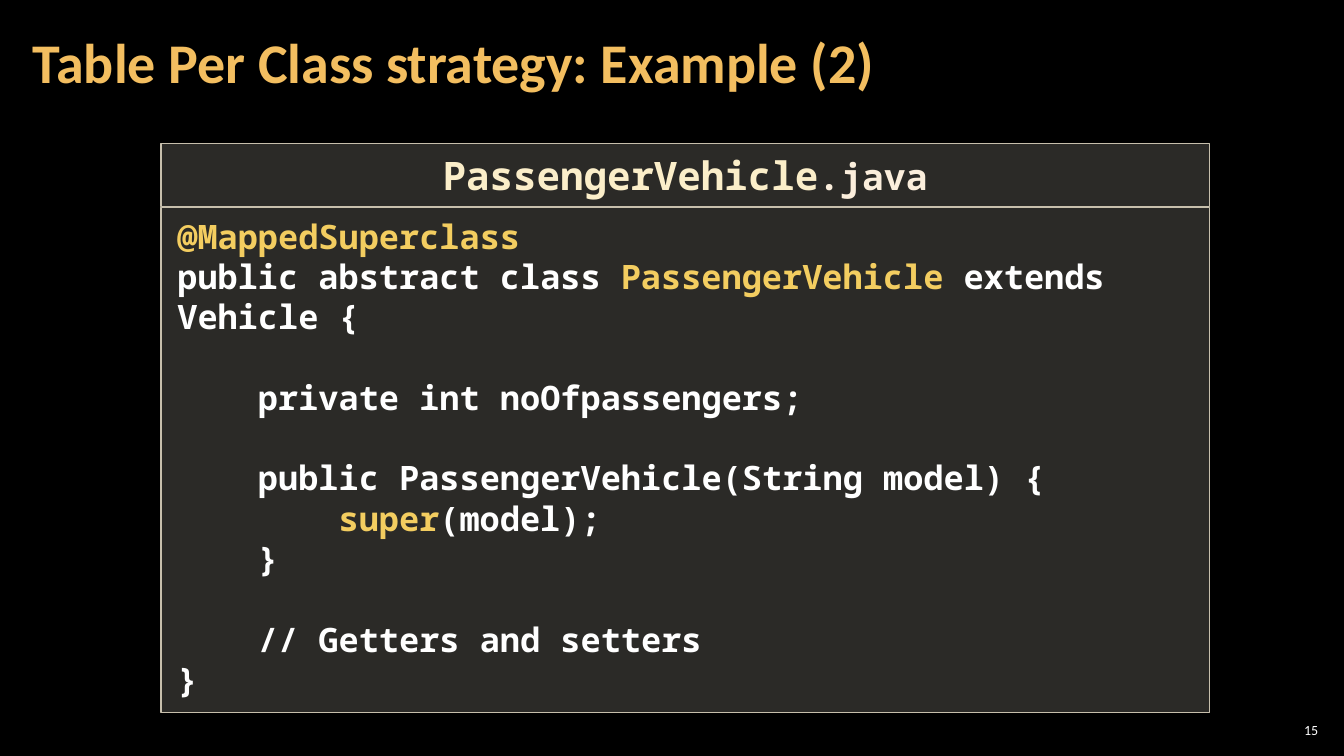
from dataclasses import dataclass

from lxml.etree import SubElement
from pptx import Presentation
from pptx.dml.color import RGBColor
from pptx.enum.shapes import MSO_SHAPE
from pptx.enum.text import MSO_ANCHOR, MSO_AUTO_SIZE, PP_ALIGN
from pptx.oxml.ns import qn
from pptx.util import Cm, Pt

BLACK = RGBColor(0x00, 0x00, 0x00)
WHITE = RGBColor(0xFF, 0xFF, 0xFF)
ORANGE = RGBColor(0xF3, 0xBE, 0x60)
YELLOW = RGBColor(0xF3, 0xCD, 0x60)
CREAM = RGBColor(0xFB, 0xEE, 0xC9)
PALE = RGBColor(0xFB, 0xEE, 0xDC)
SAND = RGBColor(0xD9, 0xD5, 0xC7)
BORDER = RGBColor(0xC7, 0xBF, 0xAC)

HEADING_FONT = "Calibri"
CODE_FONT = "Noto Sans Mono"
CODE_LINE = Pt(28.8)


@dataclass
class Run:
    text: str
    color: RGBColor = WHITE
    size: float = 24
    font: str = CODE_FONT
    bold: bool = True


@dataclass
class Line:
    runs: list[Run]
    blank_above: bool = False


@dataclass
class Panel:
    top: float
    height: float
    lines: list[Line]
    alignment: PP_ALIGN


CODE = [
    Line([Run("@MappedSuperclass", YELLOW)]),
    Line([Run("public abstract class "), Run("PassengerVehicle", YELLOW),
          Run(" extends Vehicle {")]),
    Line([Run("    private int noOfpassengers;")], True),
    Line([Run("    public PassengerVehicle(String model) {")], True),
    Line([Run("        "), Run("super", YELLOW), Run("(model);")]),
    Line([Run("    }")]),
    Line([Run("    // Getters and setters")], True),
    Line([Run("}")]),
]
FILE_NAME = [Line([Run("PassengerVehicle", CREAM, 28), Run(".java", PALE, 26)])]
PANELS = [
    Panel(5.23, 12.73, CODE, PP_ALIGN.LEFT),
    Panel(3.61, 1.6, FILE_NAME, PP_ALIGN.CENTER),
]


def apply_format(target, values: dict) -> None:
    for name, value in values.items():
        setattr(target, name, value)


def place(shape, left: float, top: float, width: float, height: float) -> None:
    apply_format(shape, {"left": Cm(left), "top": Cm(top),
                         "width": Cm(width), "height": Cm(height)})


def write_text(shape, lines: list[Line], alignment: PP_ALIGN, anchor: MSO_ANCHOR,
               side: float, edge: float, spacing: float = 1.0) -> None:
    frame = shape.text_frame
    apply_format(frame, {
        "word_wrap": True, "auto_size": MSO_AUTO_SIZE.NONE, "vertical_anchor": anchor,
        "margin_left": Cm(side), "margin_right": Cm(side),
        "margin_top": Cm(edge), "margin_bottom": Cm(edge),
    })
    for index, line in enumerate(lines):
        paragraph = frame.add_paragraph() if index else frame.paragraphs[0]
        apply_format(paragraph, {
            "alignment": alignment, "line_spacing": spacing,
            "space_before": CODE_LINE if line.blank_above else Pt(0),
        })
        for item in line.runs:
            run = paragraph.add_run()
            run.text = item.text
            apply_format(run.font, {"name": item.font, "size": Pt(item.size),
                                    "bold": item.bold})
            run.font.color.rgb = item.color


def add_panel(slide, panel: Panel) -> None:
    shape = slide.shapes.add_shape(MSO_SHAPE.RECTANGLE, Cm(4.06), Cm(panel.top),
                                   Cm(26.42), Cm(panel.height))
    shape.shadow.inherit = False
    shape.fill.solid()
    shape.fill.fore_color.rgb = SAND
    color = shape._element.spPr.find(qn("a:solidFill")).find(qn("a:srgbClr"))
    SubElement(color, qn("a:alpha")).set("val", "20000")
    shape.line.color.rgb = BORDER
    shape.line.width = Pt(1)
    write_text(shape, panel.lines, panel.alignment, MSO_ANCHOR.TOP, 0.41, 0.2)


def main() -> None:
    presentation = Presentation()
    presentation.slide_width = Cm(33.87)
    presentation.slide_height = Cm(19.05)
    slide = presentation.slides.add_slide(presentation.slide_layouts[5])
    slide.background.fill.solid()
    slide.background.fill.fore_color.rgb = BLACK

    title = slide.shapes.title
    place(title, 0.53, 0.1, 26.59, 3.07)
    heading = Run("Table Per Class strategy: Example (2)", ORANGE, 40, HEADING_FONT)
    write_text(title, [Line([heading])], PP_ALIGN.LEFT, MSO_ANCHOR.MIDDLE, 0.3, 0.1, 0.9)

    for panel in PANELS:
        add_panel(slide, panel)

    number = slide.shapes.add_textbox(Cm(32.13), Cm(18.14), Cm(1.19), Cm(0.53))
    page = Run("15", WHITE, 10, HEADING_FONT, False)
    write_text(number, [Line([page])], PP_ALIGN.RIGHT, MSO_ANCHOR.MIDDLE, 0.1, 0.1)

    presentation.save("out.pptx")


if __name__ == "__main__":
    main()
